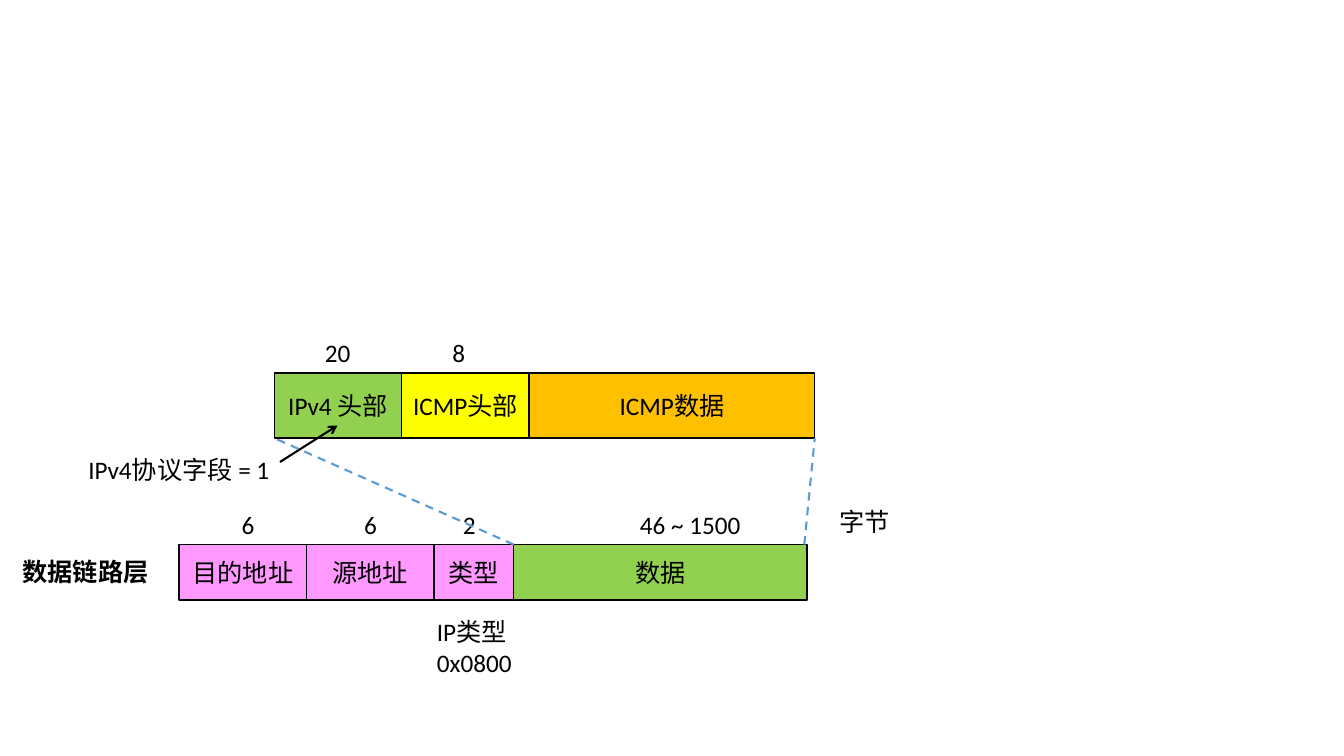
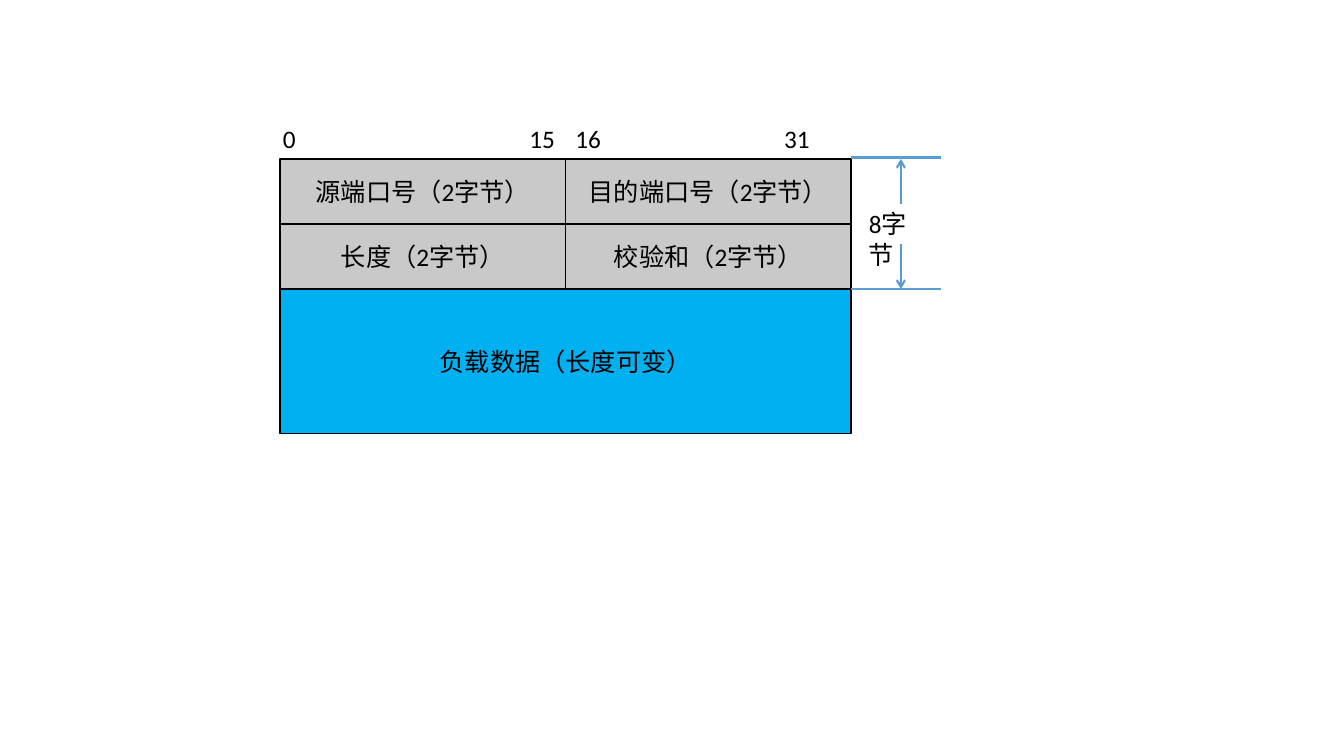
from lxml import etree
from pptx import Presentation
from pptx.dml.color import RGBColor
from pptx.enum.dml import MSO_LINE
from pptx.enum.shapes import MSO_CONNECTOR, MSO_SHAPE
from pptx.enum.text import MSO_ANCHOR, PP_ALIGN
from pptx.oxml.ns import qn
from pptx.util import Pt

BLACK = RGBColor(0x00, 0x00, 0x00)
PINK = RGBColor(0xFF, 0x99, 0xFF)
GREEN = RGBColor(0x92, 0xD0, 0x50)
YELLOW = RGBColor(0xFF, 0xFF, 0x00)
ORANGE = RGBColor(0xFF, 0xC0, 0x00)
GREY = RGBColor(0xC9, 0xC9, 0xC9)
SKY = RGBColor(0x00, 0xB0, 0xF0)
BLUE = RGBColor(0x5B, 0x9B, 0xD5)

RECTANGLE = MSO_SHAPE.RECTANGLE
STRAIGHT = MSO_CONNECTOR.STRAIGHT
DASH = MSO_LINE.DASH
MIDDLE, TOP = MSO_ANCHOR.MIDDLE, MSO_ANCHOR.TOP
CENTER, LEFT = PP_ALIGN.CENTER, PP_ALIGN.LEFT

FONT = "Calibri"
FONT_SIZE = 18
LABEL_HEIGHT = 29
BLANK_LAYOUT = 6


def write_text(shape, text, *, bold=False, align=LEFT, anchor=TOP, wrap=True):
    """Fill the shape with one paragraph for each line of text."""
    frame = shape.text_frame
    frame.word_wrap = wrap
    frame.vertical_anchor = anchor
    for index, line in enumerate(text.split("\n")):
        para = frame.add_paragraph() if index else frame.paragraphs[0]
        para.alignment = align
        span = para.add_run()
        span.text = line
        span.font.name = FONT
        span.font.size = Pt(FONT_SIZE)
        span.font.bold = bold
        span.font.color.rgb = BLACK


def add_label(page, text, left, top, width, height=LABEL_HEIGHT, **text_format):
    box = page.shapes.add_textbox(Pt(left), Pt(top), Pt(width), Pt(height))
    write_text(box, text, **text_format)


def add_field(page, text, left, top, width, height, fill):
    field = page.shapes.add_shape(RECTANGLE, Pt(left), Pt(top), Pt(width), Pt(height))
    field.shadow.inherit = False
    field.fill.solid()
    field.fill.fore_color.rgb = fill
    field.line.color.rgb = BLACK
    field.line.width = Pt(1)
    write_text(field, text, align=CENTER, anchor=MIDDLE)


def add_field_row(page, left, top, height, fields):
    """Set (text, width, fill) fields side by side and return their edges."""
    edges = [left]
    for text, width, fill in fields:
        add_field(page, text, edges[-1], top, width, height, fill)
        edges.append(edges[-1] + width)
    return edges


def add_line(page, start, end, *, color=BLUE, dash=None, arrow=False):
    line = page.shapes.add_connector(STRAIGHT, *map(Pt, start + end))
    line.line.color.rgb = color
    line.line.width = Pt(1.5)
    if dash is not None:
        line.line.dash_style = dash
    if arrow:
        etree.SubElement(line.line._get_or_add_ln(), qn("a:tailEnd"), type="arrow")
    etree.SubElement(line._element.spPr, qn("a:effectLst"))


def draw_ip_packet(page, left, top, height):
    edges = add_field_row(page, left, top, height, [
        ("IPv4 头部", 91, GREEN),
        ("ICMP头部", 91, YELLOW),
        ("ICMP数据", 204, ORANGE),
    ])
    label_top = top - LABEL_HEIGHT
    add_label(page, "20", edges[0] + 29, label_top, 33, wrap=False)
    add_label(page, "8", edges[1] + 29, label_top, 24, wrap=False)
    bottom = top + height
    add_label(page, "IPv4协议字段 = 1", left - 140, bottom + 8, 144)
    add_line(page, (left + 4, bottom + 17), (left + 45, bottom - 9),
             color=BLACK, arrow=True)
    return edges


def draw_link_frame(page, left, top, height):
    edges = add_field_row(page, left, top, height, [
        ("目的地址", 91, PINK),
        ("源地址", 91, PINK),
        ("类型", 57, PINK),
        ("数据", 209.5, GREEN),
    ])
    label_top = top - LABEL_HEIGHT
    sizes = [("6", 37.5, 24), ("6", 34, 24), ("2", 13.5, 24), ("46 ~ 1500", 83, 87)]
    for edge, (size, offset, width) in zip(edges, sizes):
        add_label(page, size, edge + offset, label_top, width, wrap=False)
    add_label(page, "字节", edges[-1] + 16, label_top - 2, 51, wrap=False)
    add_label(page, "数据链路层", left - 119, top + 5, 106, bold=True, wrap=False)
    add_label(page, "IP类型\n0x0800", edges[2] - 5, top + height + 8.5, 78, 51)
    return edges


def draw_encapsulation(page):
    packet_top, packet_height, frame_top = 266.5, 46.5, 389
    frame_edges = draw_link_frame(page, 128, frame_top, 39.5)
    packet_edges = draw_ip_packet(page, 196, packet_top, packet_height)
    packet_bottom = packet_top + packet_height
    add_line(page, (frame_edges[3], frame_top), (packet_edges[0], packet_bottom), dash=DASH)
    add_line(page, (frame_edges[4] - 2, frame_top), (packet_edges[-1], packet_bottom),
             dash=DASH)


def draw_header_height(page, left, top, height):
    """Mark the height of the header with two rules and two arrows."""
    bottom = top + height
    for rule in (top - 1, bottom):
        add_line(page, (left, rule), (left + 64, rule))
    add_label(page, "8字节", left + 5.5, top + 32, 59)
    middle = left + 35.5
    add_line(page, (middle, top + 32), (middle, top), arrow=True)
    add_line(page, (middle, bottom - 32), (middle, bottom), arrow=True)


def draw_udp_datagram(page, left, top):
    column, row = 204, 46.5
    rows = [("源端口号（2字节）", "目的端口号（2字节）"),
            ("长度（2字节）", "校验和（2字节）")]
    for index, names in enumerate(rows):
        add_field_row(page, left, top + index * row, row,
                      [(name, column, GREY) for name in names])
    header = len(rows) * row
    add_field(page, "负载数据（长度可变）", left, top + header, 2 * column, 103, SKY)
    bits = [("0", -5, 24), ("15", 171, 33), ("16", column, 33), ("31", 353, 33)]
    for bit, offset, width in bits:
        add_label(page, bit, left + offset, top - LABEL_HEIGHT, width, wrap=False)
    draw_header_height(page, left + 2 * column, top, header)


def main():
    deck = Presentation()
    deck.slide_width, deck.slide_height = Pt(960), Pt(540)
    layout = deck.slide_layouts[BLANK_LAYOUT]
    draw_encapsulation(deck.slides.add_slide(layout))
    draw_udp_datagram(deck.slides.add_slide(layout), 200, 113.5)
    deck.save("out.pptx")


if __name__ == "__main__":
    main()
